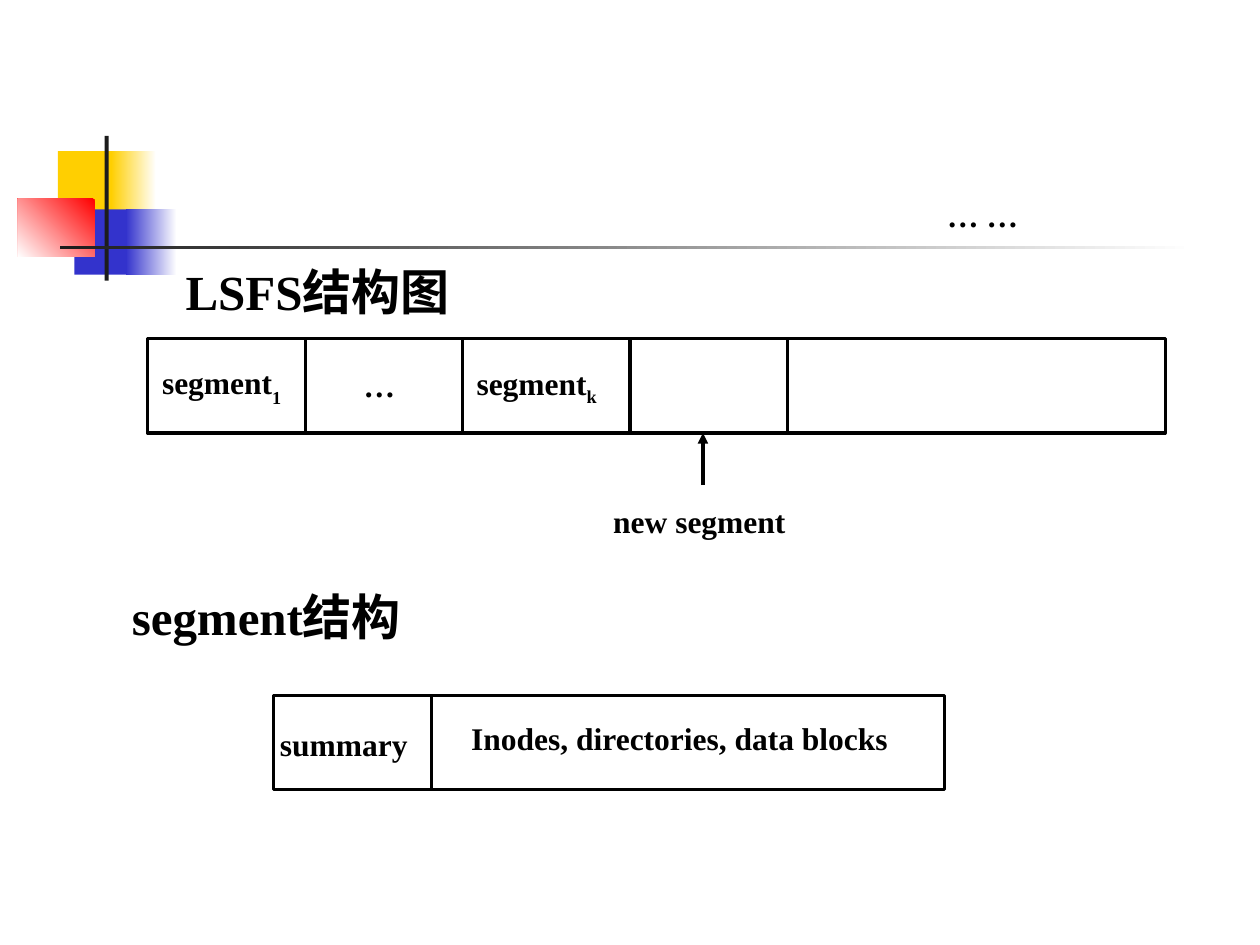
import pptx
import pptx.dml.color
import pptx.enum.shapes
import pptx.enum.text
import pptx.oxml.ns
import pptx.util
from lxml import etree

Cm = pptx.util.Cm
Pt = pptx.util.Pt
LATIN = "Times New Roman"
CHINESE = "Noto Sans CJK SC"
BLACK = "000000"
HEADING, LABEL = 28, 18

ORNAMENTS = [
    ((1.17, 3.05, 1.22, 1.32), ["FFCF01"], 0),
    ((2.24, 3.05, 0.91, 1.32), ["FFFFFF", "FFCF01"], 180),
    ((1.5, 4.22, 1.17, 1.32), ["3333CC"], 0),
    ((2.54, 4.22, 1.02, 1.32), ["FFFFFF", "3333CC"], 180),
    ((0.36, 4.01, 1.55, 1.17), ["FF0000", "FFFFFF"], 225),
    ((2.11, 2.74, 0.08, 2.92), ["1C1C1C"], 0),
    ((1.22, 4.95, 22.86, 0.08), ["FFFFFF", "1C1C1C"], 180),
]
BARS = [
    ((2.97, 6.83, 20.52, 1.9), [6.15, 9.32, 12.7, 15.88]),
    ((5.51, 14.02, 13.54, 1.9), [8.69]),
]
ARROW = (14.17, 9.78, 14.17, 8.73)
TITLE = ("LSFS结构图", "", 0, 6.4, 5.87, 6.6, HEADING)
TEXTS = [
    ("segment", "1", -30, 4.47, 7.77, 3.18, LABEL),
    ("…", "", 0, 7.65, 7.77, 3.18, LABEL),
    ("segment", "k", -25, 10.82, 7.77, 3.18, LABEL),
    ("new segment", "", 0, 14.1, 10.5, 3.38, LABEL),
    ("… …", "", 0, 19.81, 4.34, 3.18, LABEL),
    ("segment结构", "", 0, 5.37, 12.42, 7.62, HEADING),
    ("summary", "", 0, 6.93, 14.99, 3.18, LABEL),
    ("Inodes, directories, data blocks", "", 0, 13.7, 14.87, 8.69, LABEL),
]


def color(value):
    return pptx.dml.color.RGBColor.from_string(value)


def add_element(parent, tag, **attributes):
    return etree.SubElement(parent, pptx.oxml.ns.qn(tag), **attributes)


def add_rectangle(page, bounds):
    shape = page.shapes.add_shape(
        pptx.enum.shapes.MSO_SHAPE.RECTANGLE, *map(Cm, bounds))
    shape.shadow.inherit = False
    return shape


def add_ornament(page, bounds, colors, angle):
    shape = add_rectangle(page, bounds)
    shape.line.fill.background()
    if len(colors) == 1:
        shape.fill.solid()
        shape.fill.fore_color.rgb = color(colors[0])
        return
    shape.fill.gradient()
    shape.fill.gradient_angle = angle
    for position, (stop, value) in enumerate(zip(shape.fill.gradient_stops, colors)):
        stop.position = position
        stop.color.rgb = color(value)


def add_line(page, ends, width=1.75):
    line = page.shapes.add_connector(
        pptx.enum.shapes.MSO_CONNECTOR.STRAIGHT, *map(Cm, ends))
    line.line.color.rgb = color(BLACK)
    line.line.width = Pt(width)
    add_element(line._element.spPr, "a:effectLst")
    return line


def add_bar(page, bounds, dividers):
    bar = add_rectangle(page, bounds)
    bar.fill.background()
    bar.line.color.rgb = color(BLACK)
    bar.line.width = Pt(1.75)
    top, height = bounds[1], bounds[3]
    for x in dividers:
        add_line(page, (x, top, x, top + height))


def write_text(box, text, subscript, baseline, center, middle, width, size):
    height = size * 0.05
    box.left, box.top = Cm(center - width / 2), Cm(middle - height / 2)
    box.width, box.height = Cm(width), Cm(height)
    frame = box.text_frame
    frame.text = text
    frame.word_wrap = False
    frame.auto_size = pptx.enum.text.MSO_AUTO_SIZE.NONE
    frame.vertical_anchor = pptx.enum.text.MSO_ANCHOR.MIDDLE
    para = frame.paragraphs[0]
    para.alignment = pptx.enum.text.PP_ALIGN.CENTER
    if subscript:
        span = para.add_run()
        span.text = subscript
        span._r.get_or_add_rPr().set("baseline", str(baseline * 1000))
    for span in para.runs:
        span.font.size = Pt(size)
        span.font.bold = True
        span.font.color.rgb = color(BLACK)
        span.font.name = LATIN
        add_element(span._r.get_or_add_rPr(), "a:ea", typeface=CHINESE)


def main():
    deck = pptx.Presentation()
    deck.slide_width, deck.slide_height = Cm(25.4), Cm(19.05)
    page = deck.slides.add_slide(deck.slide_layouts.get_by_name("Title Only"))
    for ornament in ORNAMENTS:
        add_ornament(page, *ornament)
    for bar in BARS:
        add_bar(page, *bar)
    arrow = add_line(page, ARROW, 2)
    add_element(arrow.line._get_or_add_ln(), "a:tailEnd", type="triangle")
    write_text(page.shapes.title, *TITLE)
    for text in TEXTS:
        write_text(page.shapes.add_textbox(0, 0, 0, 0), *text)
    deck.save("out.pptx")


if __name__ == "__main__":
    main()
